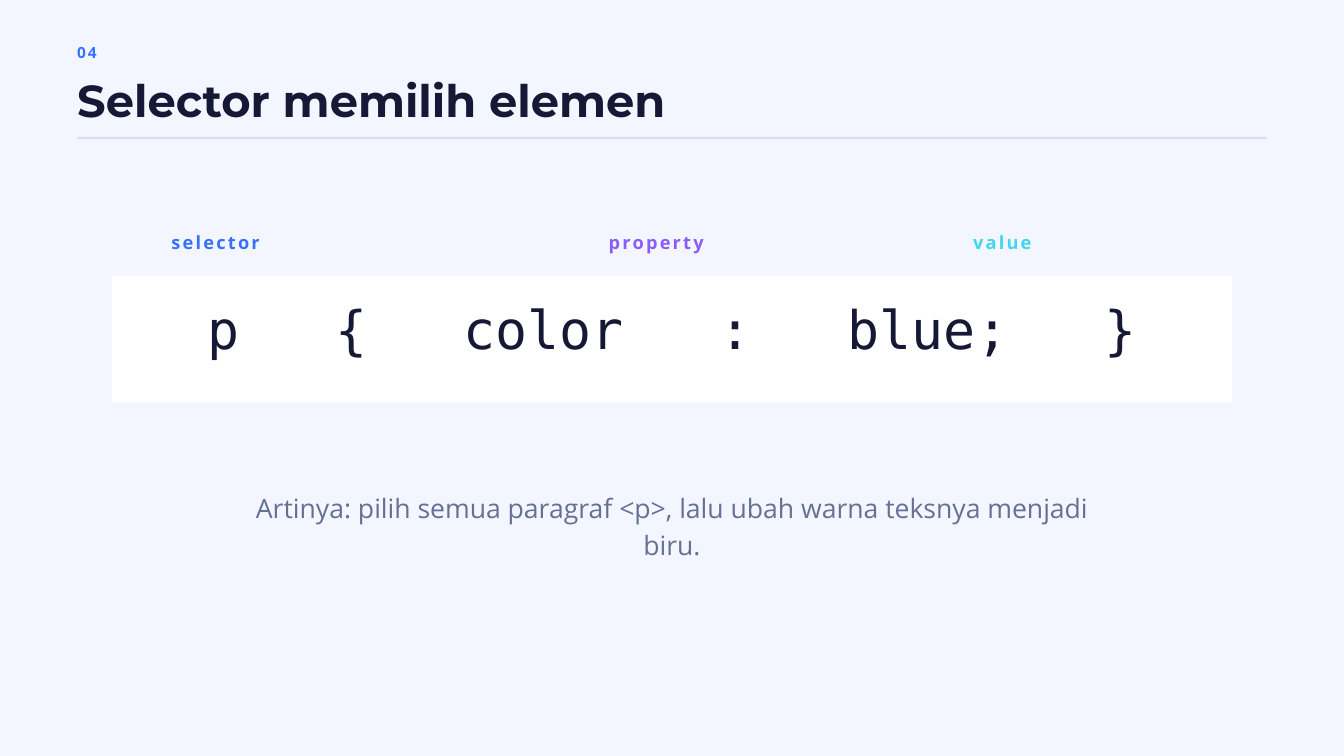
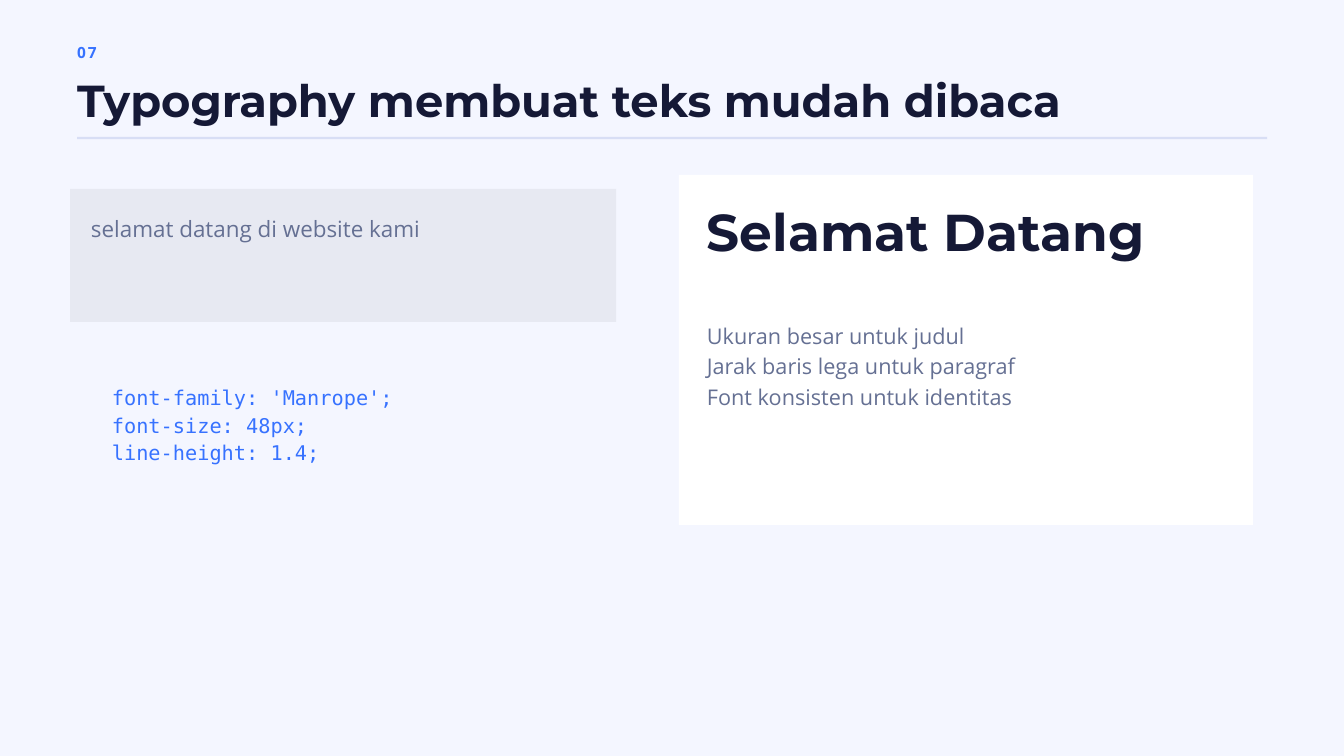
from pptx import Presentation
from pptx import util as u
from pptx.dml import color as dml
from pptx.enum import shapes, text
from pptx.oxml import ns
from lxml import etree

BACKGROUND, WHITE, GREY, RULE = "F4F6FF", "FFFFFF", "E7E9F2", "D8DEF5"
INK, MUTED, BLUE, PURPLE, CYAN = "151936", "657093", "3772FF", "8B5CF6", "42D7E8"

SANS, DISPLAY, MONO = "Open Sans", "Montserrat", "DejaVu Sans Mono"

# Text styles: font attributes, line spacing and letter spacing in points
STYLES = {
    "number": (dict(name=SANS, size=u.Pt(16.5), bold=True), 23.1, 1.98),
    "title": (dict(name=DISPLAY, size=u.Pt(48), bold=True), 50.4, 0),
    "label": (dict(name=SANS, size=u.Pt(19.5), bold=True), 27.3, 2.34),
    "syntax": (dict(name=MONO, size=u.Pt(57)), 77, 0),
    "meaning": (dict(name=SANS, size=u.Pt(28.5)), 39.9, 0),
    "plain": (dict(name=SANS, size=u.Pt(24)), 33.6, 0),
    "heading": (dict(name=DISPLAY, size=u.Pt(55.5), bold=True), 58.3, 0),
    "points": (dict(name=SANS, size=u.Pt(23.25)), 32.55, 0),
    "code": (dict(name=MONO, size=u.Pt(21.75)), 29.4, 0),
}

SYNTAX_CHAR = 1.21  # width of one character in the syntax style, in cm
TOKEN_GAP = 3       # characters between two tokens


def rgb(hex_string):
    return dml.RGBColor.from_string(hex_string)


def add_text(slide, box, lines, style, color, align=None):
    """Add a text box with one paragraph per line and no insets."""
    font_values, leading, tracking = STYLES[style]
    frame = slide.shapes.add_textbox(*map(u.Cm, box)).text_frame
    frame_values = dict(margin_left=0, margin_top=0, margin_right=0, margin_bottom=0,
                        word_wrap=True, auto_size=text.MSO_AUTO_SIZE.SHAPE_TO_FIT_TEXT)
    for attribute, value in frame_values.items():
        setattr(frame, attribute, value)
    for index, line in enumerate(lines):
        paragraph = frame.add_paragraph() if index else frame.paragraphs[0]
        paragraph.line_spacing = u.Pt(leading)
        paragraph.alignment = align
        run = paragraph.add_run()
        run.text = line
        for attribute, value in font_values.items():
            setattr(run.font, attribute, value)
        run.font.color.rgb = rgb(color)
        if tracking:
            run.font._element.set("spc", str(round(tracking * 100)))
    return frame


def add_panel(slide, box, color):
    panel = slide.shapes.add_shape(shapes.MSO_SHAPE.RECTANGLE, *map(u.Cm, box))
    panel.shadow.inherit = False
    panel.fill.solid()
    panel.fill.fore_color.rgb = rgb(color)
    panel.line.fill.background()


def add_header(slide, box, number, title):
    left, top, width = box
    add_text(slide, (left, top, 4.78, 0.79), [number], "number", BLUE)
    add_text(slide, (left, top + 1.47, 39.67, 1.8), [title], "title", INK)
    # Flat band under the title
    add_panel(slide, (left, top + 3.65, width, 0.08), RULE)


def add_syntax(slide, box, tokens):
    """Spread the tokens of a rule evenly, centred in the box."""
    width = box[2]
    characters = sum(map(len, tokens)) + TOKEN_GAP * (len(tokens) - 1)
    frame = add_text(slide, box, ["\t".join(tokens)], "syntax", INK)
    frame.margin_left = u.Cm((width - characters * SYNTAX_CHAR) / 2)
    # One tab stop at the start of each token after the first
    tabs = etree.SubElement(frame.paragraphs[0]._p.get_or_add_pPr(), ns.qn("a:tabLst"))
    column = 0
    for token in tokens[:-1]:
        column += len(token) + TOKEN_GAP
        etree.SubElement(tabs, ns.qn("a:tab"),
                         pos=str(u.Cm(column * SYNTAX_CHAR)), algn="l")


def add_anatomy(slide, box):
    left, top, width = box
    # Names of the parts, above the rule
    labels = [("selector", 2.25, BLUE), ("property", 18.78, PURPLE), ("value", 32.55, CYAN)]
    for label, offset, color in labels:
        add_text(slide, (left + offset, top, 7.92, 0.94), [label], "label", color)
    add_panel(slide, (left, top + 1.83, width, 4.78), WHITE)
    inset = 1.32
    add_syntax(slide, (left + inset, top + 2.29, width - 2 * inset, 2.62),
               ["p", "{", "color", ":", "blue;", "}"])


def add_before(slide, box):
    left, top, width, _ = box
    add_panel(slide, box, GREY)
    add_text(slide, (left + 0.79, top + 0.84, width - 2.12, 1.09),
             ["selamat datang di website kami"], "plain", MUTED)


def add_after(slide, box):
    left, top, _, _ = box
    add_panel(slide, box, WHITE)
    text_left = left + 1.06
    add_text(slide, (text_left, top + 1.24, 20.12, 2.13),
             ["Selamat Datang"], "heading", INK)
    add_text(slide, (text_left, top + 5.43, 18.26, 3.38),
             ["Ukuran besar untuk judul",
              "Jarak baris lega untuk paragraf",
              "Font konsisten untuk identitas"], "points", MUTED)


def add_slide(deck, number, title):
    slide = deck.slides.add_slide(deck.slide_layouts[6])
    slide.background.fill.solid()
    slide.background.fill.fore_color.rgb = rgb(BACKGROUND)
    add_header(slide, (2.92, 1.53, 44.98), number, title)
    return slide


def selector_slide(deck):
    slide = add_slide(deck, "04", "Selector memilih elemen")
    add_anatomy(slide, (4.23, 8.61, 42.33))
    add_text(slide, (8.74, 18.39, 33.32, 2.74),
             ["Artinya: pilih semua paragraf <p>, lalu ubah warna teksnya menjadi biru."],
             "meaning", MUTED, text.PP_ALIGN.CENTER)


def typography_slide(deck):
    slide = add_slide(deck, "07", "Typography membuat teks mudah dibaca")
    add_before(slide, (2.65, 7.14, 20.64, 5.03))
    add_after(slide, (25.66, 6.61, 21.7, 13.23))
    # Style rules that make the difference
    add_text(slide, (4.23, 14.45, 17.98, 3.1),
             ["font-family: 'Manrope';", "font-size: 48px;", "line-height: 1.4;"],
             "code", BLUE)


def main():
    deck = Presentation()
    deck.slide_width, deck.slide_height = u.Cm(50.8), u.Cm(28.58)
    selector_slide(deck)
    typography_slide(deck)
    deck.save("out.pptx")


if __name__ == "__main__":
    main()
